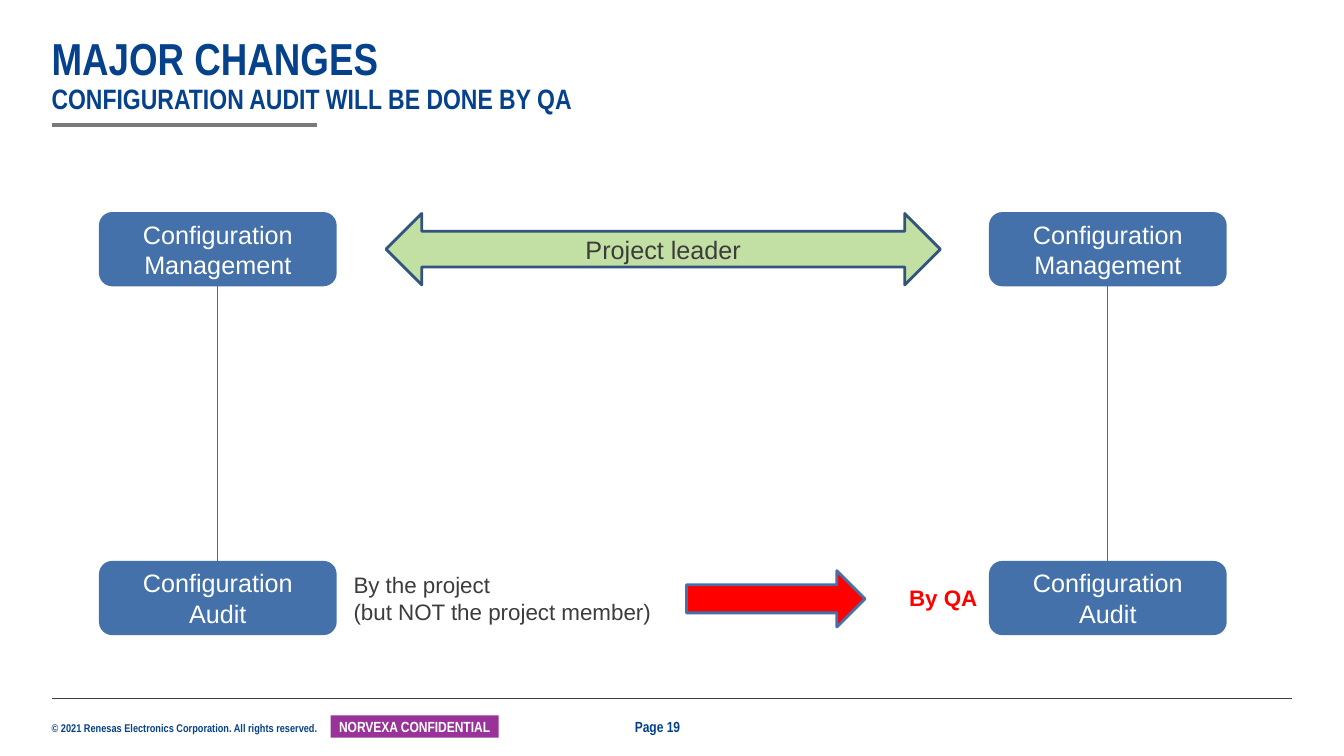
from pptx import Presentation
from pptx.dml.color import RGBColor
from pptx.enum.shapes import MSO_CONNECTOR as Link, MSO_SHAPE as Form
from pptx.enum.text import MSO_ANCHOR as Anchor, PP_ALIGN as Align
from pptx.oxml import parse_xml
from pptx.oxml.ns import nsdecls
from pptx.util import Cm, Pt

HUES = {
    "navy": "06418C", "ink": "3C3C3B", "gray": "797979", "purple": "993399",
    "blue": "4471A9", "link": "406EA8", "edge": "32547D", "green": "C2E0A3",
    "red": "FF0000", "white": "FFFFFF",
}
SANS, THIN = "Arial", "Arial Narrow"
LEFT = 1.3
TOP, LOW = 5.38, 14.17
BOX_W, BOX_H = 5.92, 1.8


def hue(name):
    return RGBColor.from_string(HUES[name])


def write(frame, lines, size, color, font=SANS, bold=False, align=Align.LEFT):
    frame.text = "\n".join(lines)
    for para in frame.paragraphs:
        para.alignment = align
        for run in para.runs:
            run.font.name, run.font.size = font, Pt(size)
            run.font.bold = bold
            run.font.color.rgb = hue(color)


def pad(frame, side):
    """Set the side margins and remove those above and below."""
    frame.margin_left = frame.margin_right = Cm(side)
    frame.margin_top = frame.margin_bottom = 0


def label(slide, x, y, w, h, lines, size, color, wrap=True, **style):
    frame = slide.shapes.add_textbox(Cm(x), Cm(y), Cm(w), Cm(h)).text_frame
    frame.word_wrap = wrap
    write(frame, lines, size, color, **style)
    return frame


def block(slide, form, x, y, w, h, fill, edge=None):
    shape = slide.shapes.add_shape(form, Cm(x), Cm(y), Cm(w), Cm(h))
    shape.shadow.inherit = False
    shape.fill.solid()
    shape.fill.fore_color.rgb = hue(fill)
    if edge:
        shape.line.color.rgb = hue(edge)
        shape.line.width = Pt(2)
    else:
        shape.line.fill.background()
    shape.text_frame.vertical_anchor = Anchor.MIDDLE
    return shape


def line(slide, x1, y1, x2, y2, color, width):
    link = slide.shapes.add_connector(
        Link.STRAIGHT, Cm(x1), Cm(y1), Cm(x2), Cm(y2))
    link.line.color.rgb = hue(color)
    link.line.width = Pt(width)
    link._element.spPr.append(parse_xml(f"<a:effectLst {nsdecls('a')}/>"))
    return link


def column(slide, x):
    """Draw the management box, the audit box and the line between them."""
    boxes = []
    for y, role in ((TOP, "Management"), (LOW, "Audit")):
        box = block(slide, Form.ROUNDED_RECTANGLE, x, y, BOX_W, BOX_H,
                    "blue", "blue")
        write(box.text_frame, [f"Configuration {role}"], 18, "white",
              align=Align.CENTER)
        boxes.append(box)
    mid = x + BOX_W / 2
    link = line(slide, mid, TOP + BOX_H, mid, LOW, "link", 0.75)
    link.begin_connect(boxes[0], 2)
    link.end_connect(boxes[1], 0)


def header(slide):
    title = label(slide, LEFT, 0.6, 31.24, 2.32,
                  ["MAJOR CHANGES", "CONFIGURATION AUDIT WILL BE DONE BY QA"],
                  32, "navy", font=THIN, bold=True)
    pad(title, 0)
    title.vertical_anchor = Anchor.BOTTOM
    for para in title.paragraphs:
        para.line_spacing = 0.9
    title.paragraphs[1].runs[0].font.size = Pt(20)
    line(slide, LEFT, 3.15, 7.98, 3.15, "gray", 3)


def footer(slide):
    line(slide, LEFT, 17.6, 32.56, 17.6, "ink", 0.5)
    note = label(
        slide, LEFT, 18.18, 6.93, 0.33,
        ["© 2021 Renesas Electronics Corporation. All rights reserved."],
        8, "navy", wrap=False, font=THIN, bold=True)
    pad(note, 0)
    tag = block(slide, Form.RECTANGLE, 8.33, 18.03, 4.24, 0.56, "purple")
    pad(tag.text_frame, 0.1)
    write(tag.text_frame, ["NORVEXA CONFIDENTIAL"], 10.5, "white",
          font=THIN, bold=True, align=Align.CENTER)
    label(slide, 15.75, 17.96, 1.7, 0.71, ["Page 19"], 10.5, "navy",
          wrap=False, font=THIN, bold=True)


def main():
    deck = Presentation()
    deck.slide_width, deck.slide_height = Cm(33.87), Cm(19.05)
    slide = deck.slides.add_slide(deck.slide_layouts[6])
    header(slide)
    footer(slide)
    for x in (2.53, 24.96):
        column(slide, x)
    block(slide, Form.RIGHT_ARROW, 17.3, 14.38, 4.5, 1.42, "red", "blue")
    label(slide, 8.66, 14.27, 8.05, 1.63,
          ["By the project", "(but NOT the project member)"], 16, "ink")
    label(slide, 22.66, 14.6, 2.34, 0.94, ["By QA"], 16, "red", bold=True)
    lead = block(slide, Form.LEFT_RIGHT_ARROW, 9.73, TOP, 13.97, BOX_H,
                 "green", "edge")
    write(lead.text_frame, ["Project leader"], 18, "ink", align=Align.CENTER)
    deck.save("out.pptx")


if __name__ == "__main__":
    main()
